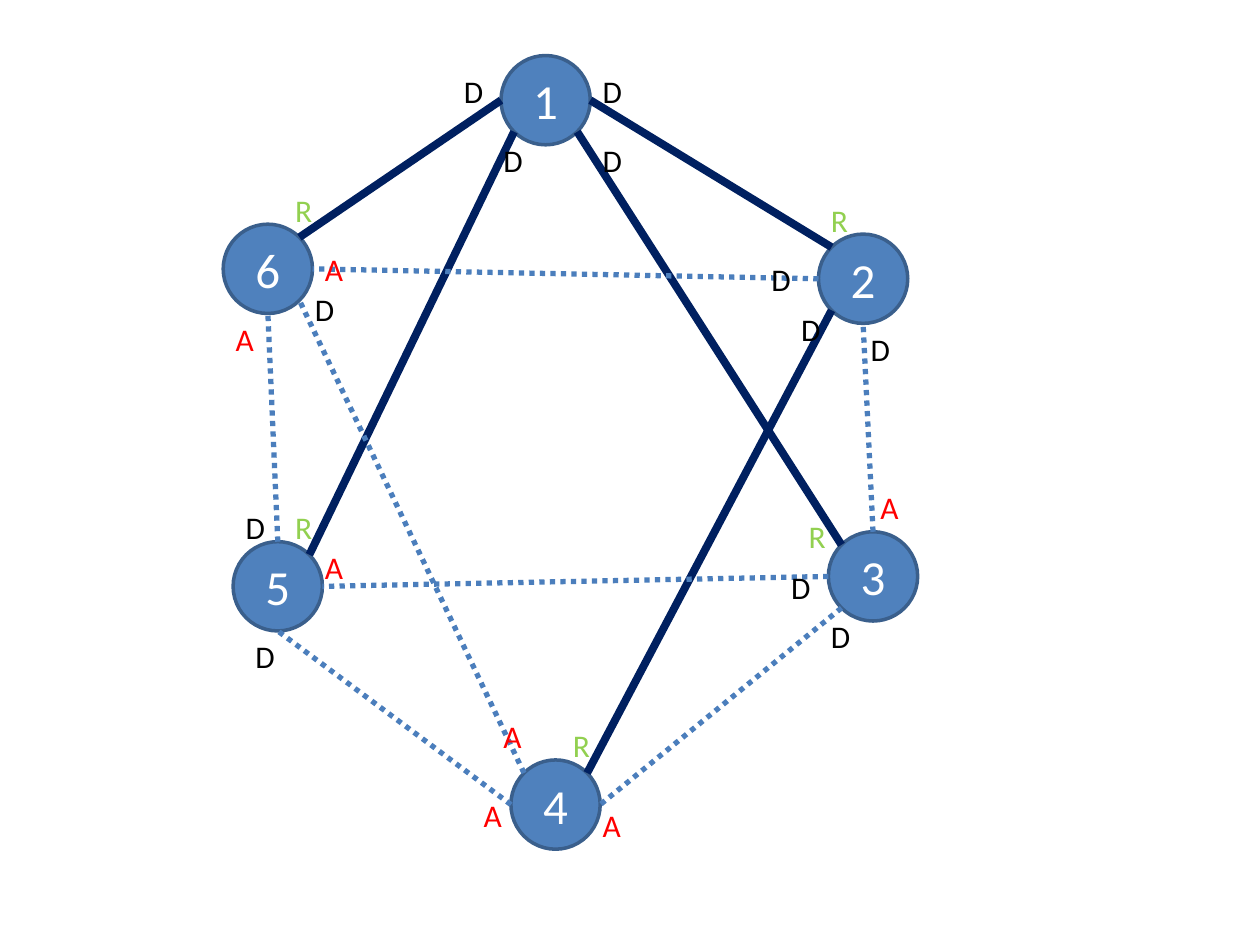
from dataclasses import dataclass
from math import hypot

from lxml import etree
from pptx import Presentation
from pptx.dml.color import RGBColor
from pptx.enum.dml import MSO_LINE
from pptx.enum.shapes import MSO_CONNECTOR, MSO_SHAPE
from pptx.enum.text import MSO_ANCHOR, MSO_AUTO_SIZE, PP_ALIGN
from pptx.oxml.ns import qn
from pptx.util import Cm, Pt

OVAL = MSO_SHAPE.OVAL
STRAIGHT = MSO_CONNECTOR.STRAIGHT
DOTTED = MSO_LINE.ROUND_DOT
MIDDLE = MSO_ANCHOR.MIDDLE
CENTER = PP_ALIGN.CENTER
FIT_SHAPE = MSO_AUTO_SIZE.SHAPE_TO_FIT_TEXT

FONT = "Calibri"
DIAMETER = 1.8
LABEL_HEIGHT = 1.02
COMPASS = {"N": (0, -1), "NE": (1, -1), "E": (1, 0), "SE": (1, 1),
           "S": (0, 1), "SW": (-1, 1), "W": (-1, 0), "NW": (-1, -1)}
LABEL_FORMAT = {"word_wrap": False, "auto_size": FIT_SHAPE}
NODE_FORMAT = {"vertical_anchor": MIDDLE, "word_wrap": True}


@dataclass(frozen=True)
class Node:
    number: int
    left: float
    top: float

    def site(self, direction: str) -> tuple[float, float]:
        """Point on the rim of the circle, in cm."""
        dx, dy = COMPASS[direction]
        radius = DIAMETER / 2
        reach = radius / hypot(dx, dy)
        return self.left + radius + dx * reach, self.top + radius + dy * reach


@dataclass(frozen=True)
class LinkStyle:
    color: str
    width: float
    dash: MSO_LINE | None = None


@dataclass(frozen=True)
class Link:
    start: int
    start_side: str
    end: int
    end_side: str
    style: LinkStyle


@dataclass(frozen=True)
class PortRole:
    letter: str
    color: str
    width: float
    places: tuple[tuple[float, float], ...]


ACTIVE = LinkStyle("002060", 4.5)
BLOCKED = LinkStyle("4B7EBC", 3, DOTTED)

NODES = {node.number: node for node in (
    Node(1, 10.1, 1.12), Node(2, 16.5, 4.72), Node(3, 16.7, 10.72),
    Node(4, 10.3, 15.32), Node(5, 4.7, 10.92), Node(6, 4.5, 4.52),
)}

LINKS = (
    Link(1, "W", 6, "NE", ACTIVE),
    Link(1, "SW", 5, "NE", ACTIVE),
    Link(2, "NW", 1, "E", ACTIVE),
    Link(3, "NW", 1, "SE", ACTIVE),
    Link(2, "SW", 4, "NE", ACTIVE),
    Link(3, "N", 2, "S", BLOCKED),
    Link(5, "N", 6, "S", BLOCKED),
    Link(4, "W", 5, "S", BLOCKED),
    Link(3, "SW", 4, "E", BLOCKED),
    Link(2, "W", 6, "E", BLOCKED),
    Link(4, "NW", 6, "SE", BLOCKED),
    Link(3, "W", 5, "E", BLOCKED),
)

PORT_ROLES = (
    PortRole("D", "000000", 0.92, (
        (9.1, 1.32), (11.9, 1.32), (9.9, 2.72), (11.9, 2.72),
        (15.3, 5.12), (15.9, 6.12), (17.3, 6.52), (15.7, 11.32),
        (16.5, 12.32), (4.9, 12.72), (4.7, 10.12), (6.1, 5.72))),
    PortRole("R", "92D050", 0.86, (
        (16.5, 3.92), (16.05, 10.3), (11.3, 14.52), (5.7, 10.12),
        (5.7, 3.72))),
    PortRole("A", "FF0000", 0.89, (
        (17.5, 9.72), (11.9, 16.12), (9.5, 15.92), (9.9, 14.32),
        (6.3, 10.92), (4.5, 6.32), (6.3, 4.92))),
)


def rgb(color: str) -> RGBColor:
    return RGBColor.from_string(color)


def write(frame, text: str, size: float, color: str, layout: dict) -> None:
    for name, value in layout.items():
        setattr(frame, name, value)
    run = frame.paragraphs[0].add_run()
    run.text = text
    for name, value in {"name": FONT, "size": Pt(size)}.items():
        setattr(run.font, name, value)
    run.font.color.rgb = rgb(color)


def draw_node(slide, node: Node) -> None:
    circle = slide.shapes.add_shape(
        OVAL, Cm(node.left), Cm(node.top), Cm(DIAMETER), Cm(DIAMETER))
    circle.shadow.inherit = False
    circle.fill.solid()
    circle.fill.fore_color.rgb = rgb("4F81BD")
    circle.line.color.rgb = rgb("3A5F8C")
    circle.line.width = Pt(2)
    write(circle.text_frame, str(node.number), 28, "FFFFFF", NODE_FORMAT)
    circle.text_frame.paragraphs[0].alignment = CENTER


def draw_link(slide, link: Link) -> None:
    start = NODES[link.start].site(link.start_side)
    end = NODES[link.end].site(link.end_side)
    connector = slide.shapes.add_connector(
        STRAIGHT, *(Cm(value) for value in start + end))
    connector.line.color.rgb = rgb(link.style.color)
    connector.line.width = Pt(link.style.width)
    if link.style.dash is not None:
        connector.line.dash_style = link.style.dash
    etree.SubElement(connector._element.spPr, qn("a:effectLst"))


def draw_port_labels(slide, role: PortRole) -> None:
    for left, top in role.places:
        label = slide.shapes.add_textbox(
            Cm(left), Cm(top), Cm(role.width), Cm(LABEL_HEIGHT))
        write(label.text_frame, role.letter, 18, role.color, LABEL_FORMAT)


def main() -> None:
    deck = Presentation()
    deck.slide_width, deck.slide_height = Cm(25.4), Cm(19.05)
    slide = deck.slides.add_slide(deck.slide_layouts[6])

    # Numbered nodes
    for node in NODES.values():
        draw_node(slide, node)

    # Active and blocked links
    for link in LINKS:
        draw_link(slide, link)

    # Port roles beside the nodes
    for role in PORT_ROLES:
        draw_port_labels(slide, role)

    deck.save("out.pptx")


if __name__ == "__main__":
    main()
